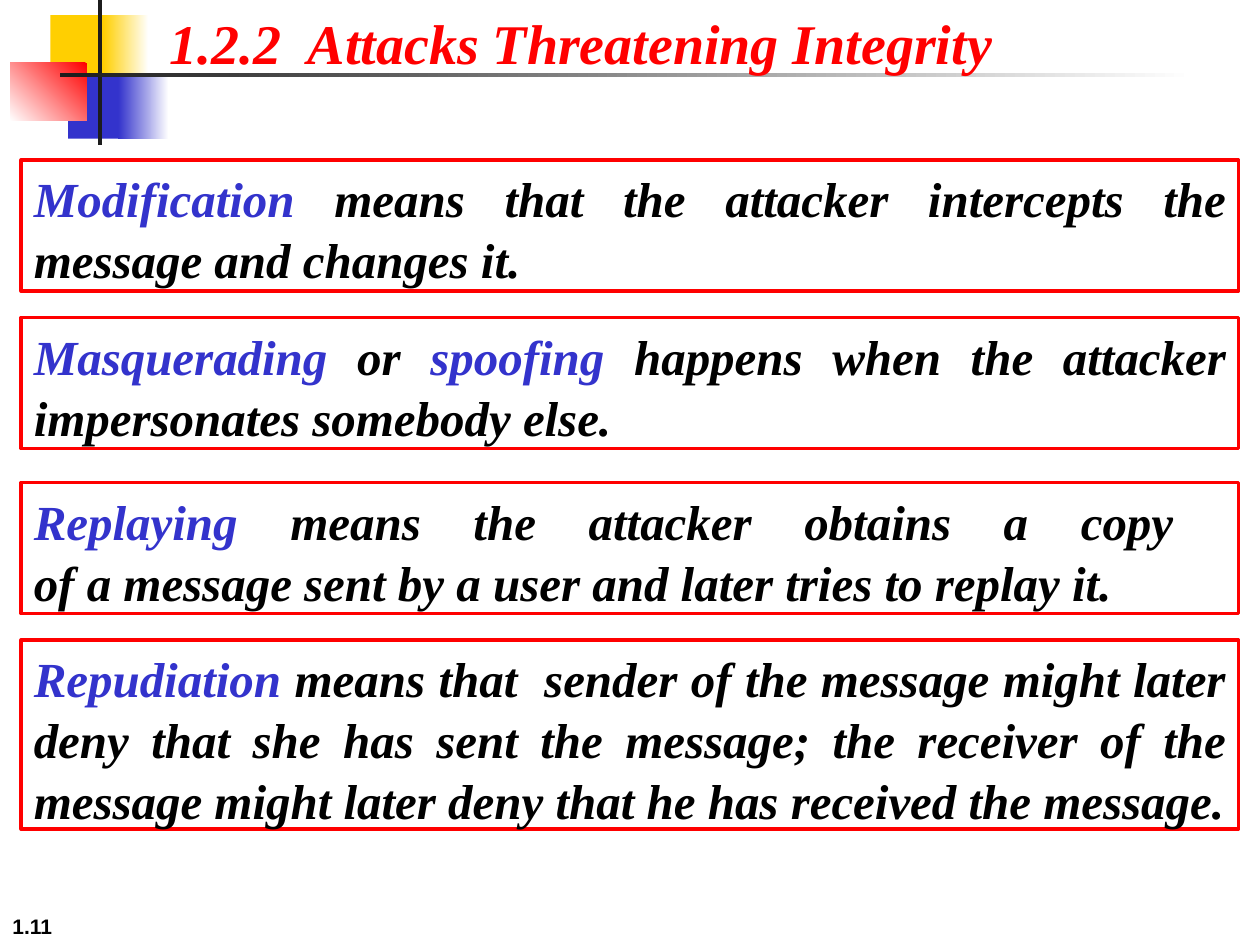
from collections import namedtuple

from pptx import Presentation
from pptx.dml.color import RGBColor
from pptx.enum.shapes import MSO_SHAPE
from pptx.enum.text import MSO_ANCHOR, PP_ALIGN
from pptx.util import Inches, Pt

CELL = Inches(0.1)
COLUMNS, ROWS = 100, 75

WHITE = RGBColor(0xFF, 0xFF, 0xFF)
BLACK = RGBColor(0x00, 0x00, 0x00)
CHARCOAL = RGBColor(0x1C, 0x1C, 0x1C)
RED = RGBColor(0xFF, 0x00, 0x00)
YELLOW = RGBColor(0xFF, 0xCF, 0x01)
BLUE = RGBColor(0x33, 0x33, 0xCC)

SERIF, SANS = "Times New Roman", "Arial"

Box = namedtuple("Box", "left top width height")

ATTACKS = [
    (12.7, 10.4, [("Modification", BLUE),
                  (" means that the attacker intercepts the message and changes it.", BLACK)]),
    (25.2, 10.4, [("Masquerading", BLUE), (" or ", BLACK), ("spoofing", BLUE),
                  (" happens when the attacker impersonates somebody else.", BLACK)]),
    (38.3, 10.4, [("Replaying", BLUE),
                  (" means the attacker obtains a copy \n"
                   "of a message sent by a user and later tries to replay it. ", BLACK)]),
    (50.8, 15, [("Repudiation", BLUE),
                (" means that  sender of the message might later deny that she has sent "
                 "the message; the receiver of the message might later deny that he has "
                 "received the message.", BLACK)]),
]


def inside(box, left, top, width, height):
    """Return the box placed by cell offsets from the corner of another box."""
    return Box(box.left + left, box.top + top, width, height)


def emu(box):
    """Convert a box in grid cells to slide lengths."""
    return [round(cells * CELL) for cells in box]


def write(frame, pieces, size, font=SERIF, italic=True, align=PP_ALIGN.LEFT,
          anchor=MSO_ANCHOR.TOP, wrap=True, spacing=1.04):
    """Fill a text frame with coloured pieces of one paragraph."""
    frame.word_wrap = wrap
    frame.vertical_anchor = anchor
    paragraph = frame.paragraphs[0]
    paragraph.alignment = align
    paragraph.line_spacing = spacing
    for text, color in pieces:
        for number, line in enumerate(text.split("\n")):
            if number:
                paragraph.add_line_break()
            run = paragraph.add_run()
            run.text = line
            run.font.name = font
            run.font.size = Pt(size)
            run.font.bold = True
            run.font.italic = italic
            run.font.color.rgb = color


def add_block(slide, box, start, end=None, angle=180):
    """Add a borderless rectangle, solid or fading from start to end."""
    block = slide.shapes.add_shape(MSO_SHAPE.RECTANGLE, *emu(box))
    block.shadow.inherit = False
    block.line.fill.background()
    if end is None:
        block.fill.solid()
        block.fill.fore_color.rgb = start
    else:
        block.fill.gradient()
        block.fill.gradient_angle = angle
        for stop, color in zip(block.fill.gradient_stops, (start, end)):
            stop.color.rgb = color


def add_ornament(slide, box):
    """Draw the overlapping squares and the crossing bars."""
    add_block(slide, inside(box, 4, 1.2, 4.8, 5.2), YELLOW)
    add_block(slide, inside(box, 8.2, 1.2, 3.6, 5.2), WHITE, YELLOW)
    add_block(slide, inside(box, 5.4, 5.8, 4.6, 5.2), BLUE)
    add_block(slide, inside(box, 9.4, 5.8, 4, 5.2), WHITE, BLUE)
    add_block(slide, inside(box, 0.8, 5, 6.1, 4.6), RED, WHITE, angle=225)
    add_block(slide, inside(box, 7.8, 0, 0.3, 11.5), CHARCOAL)
    add_block(slide, inside(box, 4.8, 5.8, 90, 0.3), WHITE, CHARCOAL)


def add_label(slide, box, text, color, size, **text_format):
    """Add a plain line of text in its box."""
    label = slide.shapes.add_textbox(*emu(box))
    write(label.text_frame, [(text, color)], size, **text_format)


def add_definition(slide, box, pieces):
    """Add a red-framed definition of one attack."""
    card = slide.shapes.add_shape(MSO_SHAPE.RECTANGLE, *emu(box))
    card.shadow.inherit = False
    card.fill.background()
    card.line.color.rgb = RED
    card.line.width = Pt(2.25)
    write(card.text_frame, pieces, 28, align=PP_ALIGN.JUSTIFY)


def main():
    """Build and save the slide."""
    deck = Presentation()
    deck.slide_width, deck.slide_height = COLUMNS * CELL, ROWS * CELL
    slide = deck.slides.add_slide(deck.slide_layouts[6])
    page = Box(0, 0, COLUMNS, ROWS)
    add_label(slide, inside(page, 0, 70, 20.8, 5), "1.11", BLACK, 12,
              font=SANS, italic=False, anchor=MSO_ANCHOR.BOTTOM, spacing=1)
    add_ornament(slide, page)
    add_label(slide, inside(page, 12.5, 0, 67.5, 6.4),
              "1.2.2  Attacks Threatening Integrity", RED, 32, wrap=False)
    for top, height, pieces in ATTACKS:
        add_definition(slide, inside(page, 1.7, top, 96.6, height), pieces)
    deck.save("out.pptx")


if __name__ == "__main__":
    main()
